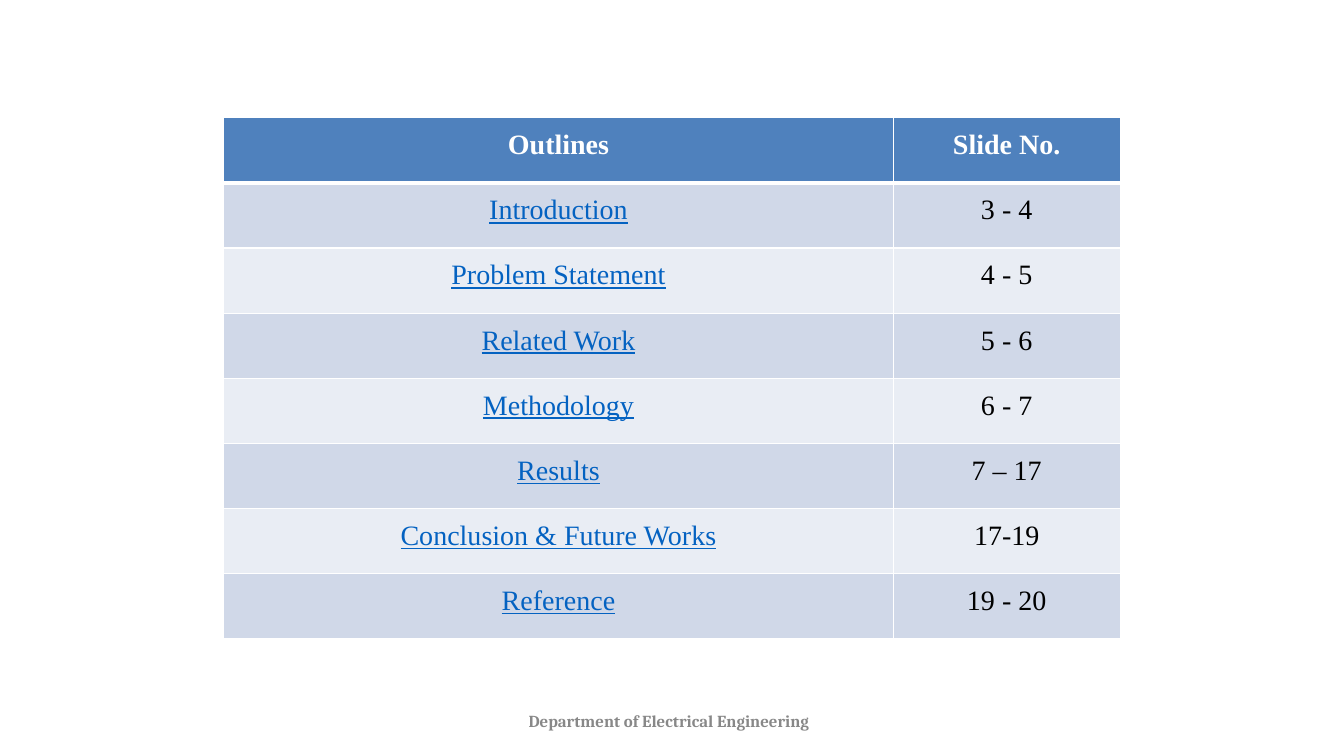
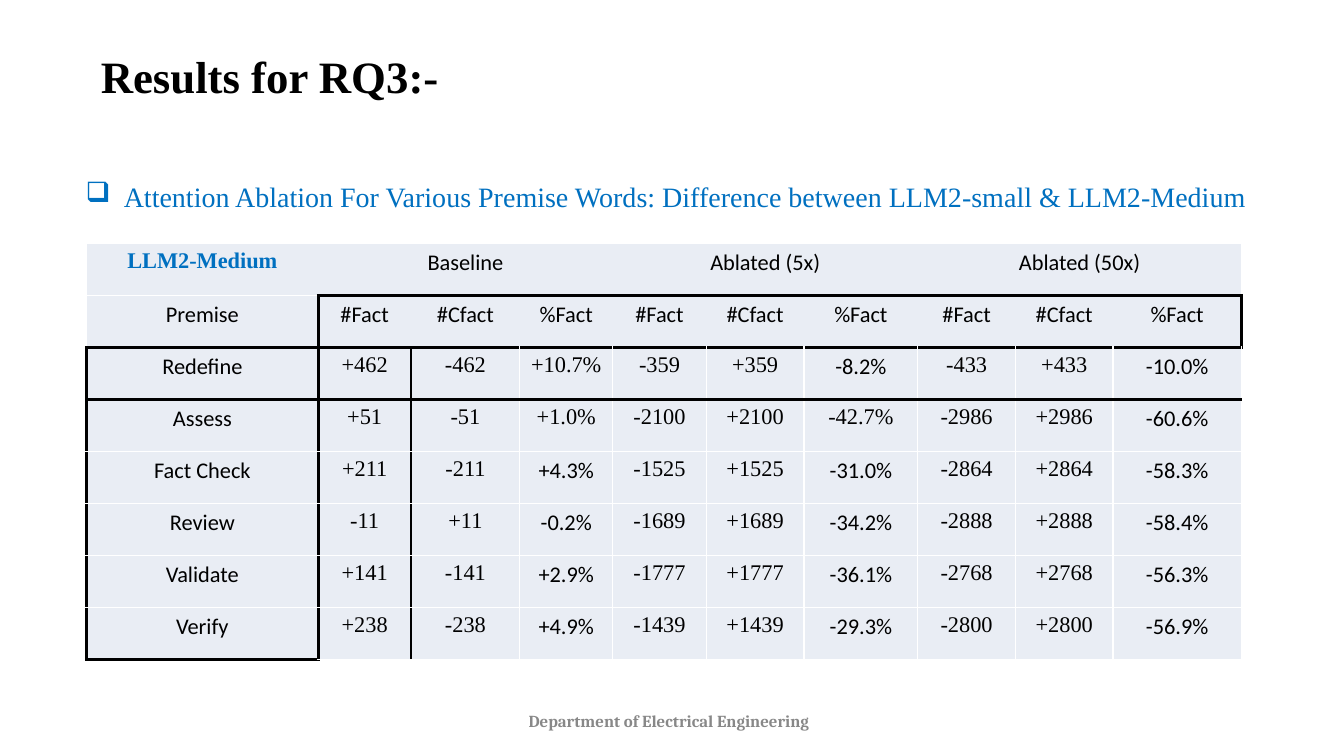
import pptx
import pptx.dml.color
import pptx.enum.text
import pptx.oxml.ns
import pptx.util
import lxml.etree

Cm = pptx.util.Cm
Pt = pptx.util.Pt
TIMES = "Times New Roman"
SANS = "Calibri"
WHITE, BLACK, BLUE, PALE = "FFFFFF", "000000", "0070C0", "E9EDF4"
THIN = (WHITE, 1)
THICK = (BLACK, 2.25)


def color(code):
    return pptx.dml.color.RGBColor.from_string(code)


def child(node, tag, **attrs):
    return lxml.etree.SubElement(node, pptx.oxml.ns.qn(tag), attrs)


class Deck:
    styles = {
        "title": dict(name=TIMES, size=Pt(32), bold=True, ink=BLACK),
        "point": dict(name=TIMES, size=Pt(20), bold=False, ink=BLUE),
        "footer": dict(name="Cambria", size=Pt(12), bold=True, ink="888888"),
        "head": dict(name=TIMES, size=Pt(20), bold=True, ink=WHITE),
        "topic": dict(name=TIMES, size=Pt(20), bold=False, underline=True, ink="0462C1"),
        "pages": dict(name=TIMES, size=Pt(20), bold=False, ink=BLACK),
        "model": dict(name=TIMES, size=Pt(16), bold=True, ink=BLUE),
        "label": dict(name=SANS, size=Pt(16), bold=False, ink=BLACK),
        "count": dict(name=TIMES, size=Pt(16), bold=False, ink=BLACK),
    }

    def __init__(self):
        self.prs = pptx.Presentation()
        self.prs.slide_width = Cm(33.87)
        self.prs.slide_height = Cm(19.05)
        self.slide = None

    def start(self):
        self.slide = self.prs.slides.add_slide(self.prs.slide_layouts[6])

    def put(self, para, text, style):
        run = para.add_run()
        run.text = text
        for key, value in self.styles[style].items():
            if key == "ink":
                run.font.color.rgb = color(value)
            else:
                setattr(run.font, key, value)

    def text(self, box, text, style):
        frame = self.slide.shapes.add_textbox(*map(Cm, box)).text_frame
        form = dict(margin_left=0, margin_top=0, margin_right=0, margin_bottom=0,
                    word_wrap=True,
                    auto_size=pptx.enum.text.MSO_AUTO_SIZE.SHAPE_TO_FIT_TEXT)
        for key, value in form.items():
            setattr(frame, key, value)
        para = frame.paragraphs[0]
        self.put(para, text, style)
        return para

    def title(self, text):
        self.text((2.54, 1.24, 19.33, 1.37), text, "title")

    def point(self, text):
        para = self.text((2.16, 4.52, 29.46, 0.86), text, "point")
        props = para._p.get_or_add_pPr()
        props.set("marL", str(Cm(0.96)))
        props.set("indent", str(Cm(-0.96)))
        child(props, "a:buChar", char="❑")

    def footer(self):
        self.text((13.32, 17.91, 7.29, 0.58), "Department of Electrical Engineering", "footer")

    def edge(self, cell, side, line):
        props = cell._tc.get_or_add_tcPr()
        if line is None:
            child(child(props, "a:ln" + side, w="0"), "a:noFill")
            return
        ink, width = line
        node = child(props, "a:ln" + side, w=str(Pt(width)))
        child(child(node, "a:solidFill"), "a:srgbClr", val=ink)

    def table(self, left, top, widths, height, rows, look, level, plumb, pad=0.13, spans=()):
        box = (left, top, sum(widths), height * len(rows))
        grid = self.slide.shapes.add_table(len(rows), len(widths), *map(Cm, box)).table
        for col, width in zip(grid.columns, widths):
            col.width = Cm(width)
        for r, row in enumerate(rows):
            grid.rows[r].height = Cm(height)
            for c, text in enumerate(row):
                cell = grid.cell(r, c)
                sides = dict(L=plumb(r, c), R=plumb(r, c + 1),
                             T=level(r, c), B=level(r + 1, c))
                for side, line in sides.items():
                    self.edge(cell, side, line)
                style, fill = look(r, c, text)
                cell.fill.solid()
                cell.fill.fore_color.rgb = color(fill)
                cell.margin_top = Cm(pad)
                if text:
                    para = cell.text_frame.paragraphs[0]
                    para.alignment = pptx.enum.text.PP_ALIGN.CENTER
                    self.put(para, text, style)
        for first, last in spans:
            grid.cell(0, first).merge(grid.cell(0, last))


def outline(deck):
    rows = [
        ("Outlines", "Slide No."),
        ("Introduction", "3 - 4"),
        ("Problem Statement", "4 - 5"),
        ("Related Work", "5 - 6"),
        ("Methodology", "6 - 7"),
        ("Results", "7 – 17"),
        ("Conclusion & Future Works", "17-19"),
        ("Reference", "19 - 20"),
    ]

    def look(r, c, text):
        if r == 0:
            return "head", "4F81BD"
        return ("topic", "pages")[c], ("D0D8E8" if r % 2 else PALE)

    def level(r, c):
        return (WHITE, 3) if r == 1 else THIN

    def plumb(r, c):
        return THIN

    deck.start()
    deck.footer()
    deck.table(5.64, 2.97, (16.87, 5.72), 1.64, rows, look, level, plumb, pad=0.3)


def results(deck):
    rows = [
        ("LLM2-Medium", "Baseline", "", "", "Ablated (5x)", "", "", "Ablated (50x)", "", ""),
        ("Premise",) + ("#Fact", "#Cfact", "%Fact") * 3,
        ("Redefine", "+462", "-462", "+10.7%", "-359", "+359", "-8.2%", "-433", "+433", "-10.0%"),
        ("Assess", "+51", "-51", "+1.0%", "-2100", "+2100", "-42.7%", "-2986", "+2986", "-60.6%"),
        ("Fact Check", "+211", "-211", "+4.3%", "-1525", "+1525", "-31.0%", "-2864", "+2864", "-58.3%"),
        ("Review", "-11", "+11", "-0.2%", "-1689", "+1689", "-34.2%", "-2888", "+2888", "-58.4%"),
        ("Validate", "+141", "-141", "+2.9%", "-1777", "+1777", "-36.1%", "-2768", "+2768", "-56.3%"),
        ("Verify", "+238", "-238", "+4.9%", "-1439", "+1439", "-29.3%", "-2800", "+2800", "-56.9%"),
    ]
    widths = (5.84, 2.34, 2.74, 2.34, 2.36, 2.46, 2.87, 2.46, 2.46, 3.23)
    serif = ("+10.7%", "+1.0%", "-42.7%")

    def look(r, c, text):
        if r == c == 0:
            return "model", PALE
        plain = r < 2 or c % 3 == 0 and text not in serif
        return ("label" if plain else "count"), PALE

    def level(r, c):
        dark = r in (2, 3) or r == 1 and c > 0 or r == len(rows) and c == 0
        return THICK if dark else THIN

    def plumb(r, c):
        if c < 3 and r >= (2, 1, 2)[c] or c == len(widths) and r == 1:
            return THICK
        return THIN if r > 1 else None

    deck.start()
    deck.title("Results for RQ3:-")
    deck.point("Attention Ablation For Various Premise Words: "
               "Difference between LLM2-small & LLM2-Medium")
    deck.footer()
    deck.table(2.18, 6.14, widths, 1.31, rows, look, level, plumb,
               spans=((1, 3), (4, 6), (7, 9)))


def main():
    deck = Deck()
    outline(deck)
    results(deck)
    deck.prs.save("out.pptx")


if __name__ == "__main__":
    main()
